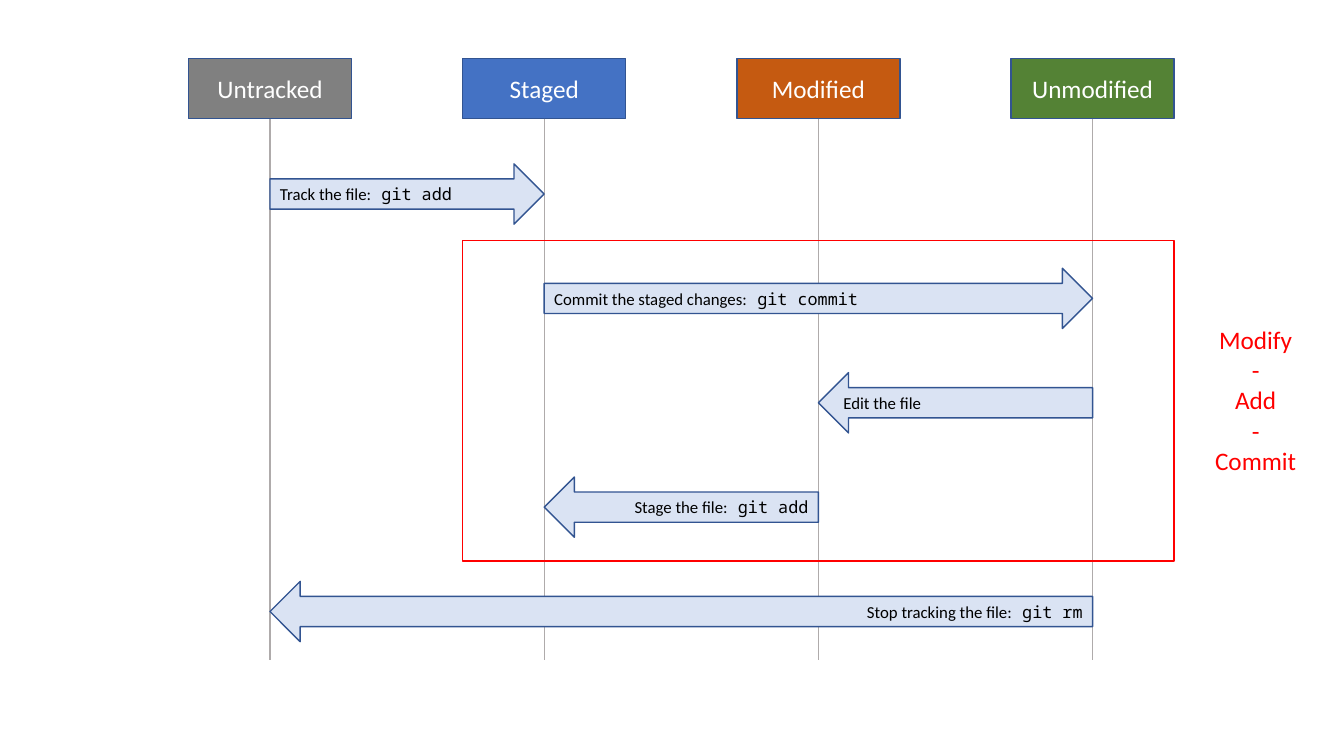
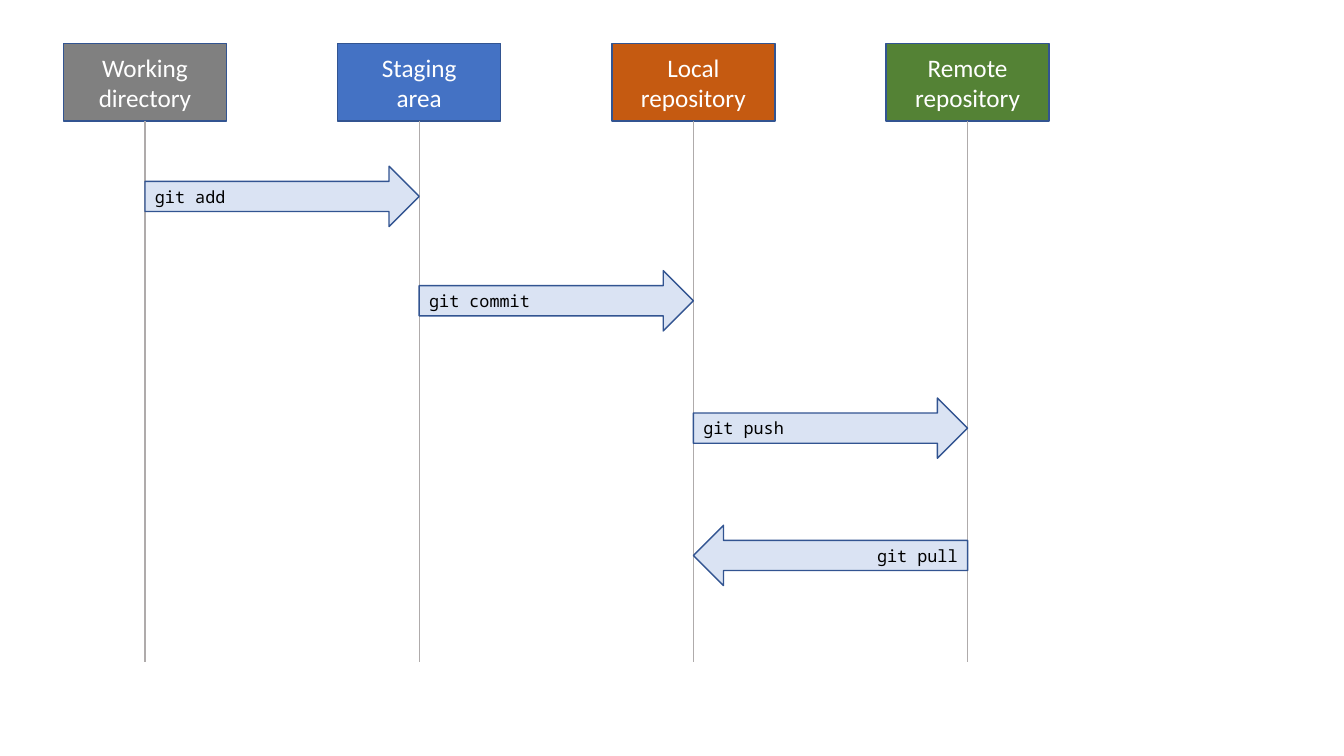
import pptx
import pptx.dml.color
import pptx.enum.shapes
import pptx.enum.text
import pptx.oxml
import pptx.util

Cm = pptx.util.Cm
Pt = pptx.util.Pt
RGBColor = pptx.dml.color.RGBColor
Shapes = pptx.enum.shapes.MSO_SHAPE
Align = pptx.enum.text.PP_ALIGN

GRAY = RGBColor(0x80, 0x80, 0x80)
BLUE = RGBColor(0x44, 0x72, 0xC4)
ORANGE = RGBColor(0xC5, 0x5A, 0x11)
GREEN = RGBColor(0x54, 0x82, 0x35)
OUTLINE = RGBColor(0x32, 0x54, 0x91)
PALE_BLUE = RGBColor(0xDA, 0xE3, 0xF3)
LINE_GRAY = RGBColor(0xAF, 0xAB, 0xAB)
RED = RGBColor(0xFF, 0x00, 0x00)
WHITE = RGBColor(0xFF, 0xFF, 0xFF)
BLACK = RGBColor(0x00, 0x00, 0x00)

TEXT_FONT = "Calibri"
CODE_FONT = "Noto Sans Mono"
HEADER_COLORS = (GRAY, BLUE, ORANGE, GREEN)

HEADER_WIDTH = Cm(4.11)
COLUMN_PITCH = Cm(6.91)
LIFELINE_LENGTH = Cm(13.64)
FIRST_ARROW_OFFSET = Cm(1.14)
ROW_PITCH = Cm(2.63)
ARROW_HEIGHT = Cm(1.52)


def add_outlined_shape(slide, kind, left, top, width, height, line_color, fill_color=None):
    """Add a shadowless shape with a thin outline and an optional fill."""
    shape = slide.shapes.add_shape(kind, left, top, width, height)
    shape.shadow.inherit = False
    if fill_color is None:
        shape.fill.background()
    else:
        shape.fill.solid()
        shape.fill.fore_color.rgb = fill_color
    shape.line.color.rgb = line_color
    shape.line.width = Pt(1)
    return shape


def write_centered(text_frame, text, color):
    """Write one centred paragraph for each line of the text."""
    text_frame.text = text
    for paragraph in text_frame.paragraphs:
        paragraph.alignment = Align.CENTER
        paragraph.font.name = TEXT_FONT
        paragraph.font.size = Pt(18)
        paragraph.font.color.rgb = color


def add_lifeline(slide, x, top):
    """Draw the vertical line that hangs below a header."""
    connector = slide.shapes.add_connector(
        pptx.enum.shapes.MSO_CONNECTOR.STRAIGHT, x, top, x, top + LIFELINE_LENGTH)
    connector.line.color.rgb = LINE_GRAY
    connector.line.width = Pt(1)
    properties = connector.element.spPr
    properties.append(properties.makeelement(pptx.oxml.ns.qn("a:effectLst"), {}))


def add_command_arrow(slide, left, top, start, end, label, command, alignment):
    """Draw an arrow from one column to another, with a label and a command."""
    kind = Shapes.RIGHT_ARROW if end > start else Shapes.LEFT_ARROW
    arrow = add_outlined_shape(
        slide, kind, left + min(start, end) * COLUMN_PITCH, top,
        abs(end - start) * COLUMN_PITCH, ARROW_HEIGHT, OUTLINE, PALE_BLUE)
    paragraph = arrow.text_frame.paragraphs[0]
    paragraph.alignment = alignment
    for text, font_name in ((label, TEXT_FONT), (command, CODE_FONT)):
        if text:
            run = paragraph.add_run()
            run.text = text
            run.font.name = font_name
            run.font.size = Pt(12)
            run.font.color.rgb = BLACK


def add_lifeline_diagram(slide, left, top, header_height, headers, arrows):
    """Draw headers, lifelines and arrows from the given top left corner."""
    axis = left + HEADER_WIDTH // 2
    lifeline_top = top + header_height
    for column, (text, color) in enumerate(zip(headers, HEADER_COLORS)):
        offset = column * COLUMN_PITCH
        header = add_outlined_shape(
            slide, Shapes.RECTANGLE, left + offset, top, HEADER_WIDTH, header_height,
            OUTLINE, color)
        write_centered(header.text_frame, text, WHITE)
        add_lifeline(slide, axis + offset, lifeline_top)
    for row, *arrow in arrows:
        arrow_top = lifeline_top + FIRST_ARROW_OFFSET + int(row * ROW_PITCH)
        add_command_arrow(slide, axis, arrow_top, *arrow)


def add_cycle_frame(slide, left, top, width, height, caption):
    """Frame the repeated steps and write the caption to the right."""
    add_outlined_shape(slide, Shapes.RECTANGLE, left, top, width, height, RED)
    caption_height = Cm(4.11)
    text_box = slide.shapes.add_textbox(
        left + width + Cm(0.76), top + (height - caption_height) // 2,
        Cm(2.59), caption_height)
    text_box.text_frame.word_wrap = False
    text_box.text_frame.auto_size = pptx.enum.text.MSO_AUTO_SIZE.SHAPE_TO_FIT_TEXT
    write_centered(text_box.text_frame, caption, RED)


def build_file_states(slide):
    """Show how a file moves between its states."""
    left, top, header_height = Cm(4.75), Cm(1.47), Cm(1.52)
    add_lifeline_diagram(
        slide, left, top, header_height,
        ("Untracked", "Staged", "Modified", "Unmodified"),
        (
            (0, 0, 1, "Track the file:", " git add", Align.LEFT),
            (1, 1, 3, "Commit the staged changes:", " git commit", Align.LEFT),
            (2, 3, 2, "Edit the file", "", Align.LEFT),
            (3, 2, 1, "Stage the file:", " git add", Align.RIGHT),
            (4, 3, 0, "Stop tracking the file:", " git rm", Align.RIGHT),
        ))
    add_cycle_frame(
        slide, left + COLUMN_PITCH, top + header_height + Cm(3.07),
        2 * COLUMN_PITCH + HEADER_WIDTH, Cm(8.08), "Modify\n-\nAdd\n-\nCommit")


def build_repositories(slide):
    """Show which command moves changes between the places."""
    add_lifeline_diagram(
        slide, Cm(1.6), Cm(1.09), Cm(1.96),
        ("Working directory", "Staging\narea", "Local\nrepository", "Remote repository"),
        (
            (0, 0, 1, "", "git add", Align.LEFT),
            (1, 1, 2, "", "git commit", Align.LEFT),
            (2.22, 2, 3, "", "git push", Align.LEFT),
            (3.44, 3, 2, "", "git pull", Align.RIGHT),
        ))


def main():
    """Build and save the presentation."""
    presentation = pptx.Presentation()
    presentation.slide_width = Cm(33.87)
    presentation.slide_height = Cm(19.05)
    for build in (build_file_states, build_repositories):
        build(presentation.slides.add_slide(presentation.slide_layouts[6]))
    presentation.save("out.pptx")


if __name__ == "__main__":
    main()
